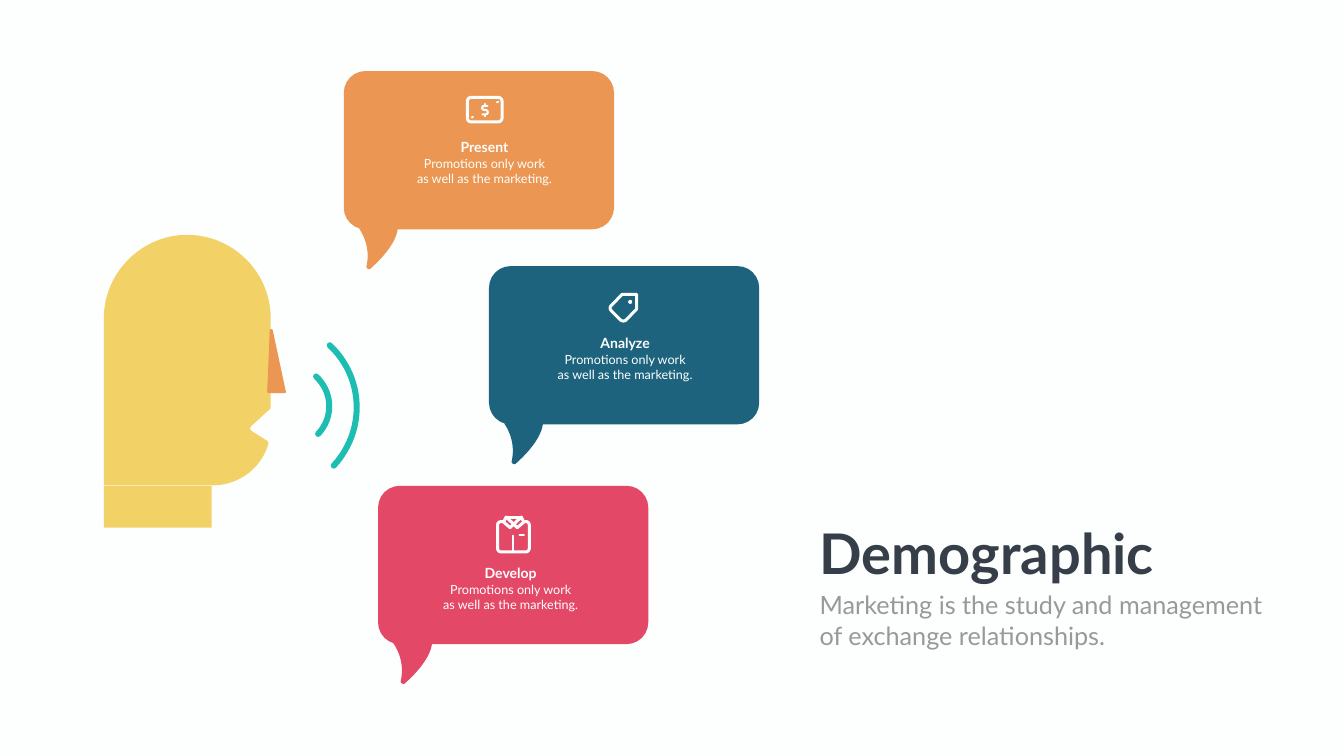
"""Builds the Demographic slide: a speaking head with three speech bubbles."""
import pptx
import pptx.util
from lxml import etree
from pptx.dml.color import RGBColor
from pptx.enum.shapes import MSO_CONNECTOR, MSO_SHAPE
from pptx.enum.text import MSO_ANCHOR, PP_ALIGN
from pptx.oxml.ns import qn
from pptx.util import Inches

COLORS = {
    "white": "FDFFFE", "orange": "EB9652", "blue": "1D637D", "pink": "E34866",
    "teal": "1EBDB2", "yellow": "F2D267", "dark": "353E49", "gray": "989998",
}
BUBBLES = [
    ("Present", "orange", 6.82, 1.41, 9.61, 2.7),
    ("Analyze", "blue", 9.7, 5.28, 12.4, 6.59),
    ("Develop", "pink", 7.5, 9.64, 10.13, 11.16),
]
MESSAGE = ["Promotions only work", "as well as the marketing."]


def rgb(name):
    return RGBColor.from_string(COLORS[name])


def paint(shape, fill=None, line=None, width=0):
    shape.shadow.inherit = False
    if fill:
        shape.fill.solid()
        shape.fill.fore_color.rgb = rgb(fill)
    else:
        shape.fill.background()
    if line:
        paint_line(shape.line, line, width)
    else:
        shape.line.fill.background()


def paint_line(line, color, width):
    line.color.rgb = rgb(color)
    line.width = pptx.util.Pt(width)
    element = line._get_or_add_ln()
    element.set("cap", "rnd")
    etree.SubElement(element, qn("a:round"))


def add_preset(slide, kind, box, **style):
    shape = slide.shapes.add_shape(kind, *map(Inches, box))
    paint(shape, **style)
    return shape


def add_stroke(slide, start, end, width):
    connector = slide.shapes.add_connector(
        MSO_CONNECTOR.STRAIGHT, *map(Inches, (*start, *end)))
    paint_line(connector.line, "white", width)
    etree.SubElement(connector._element.spPr, qn("a:effectLst"))


def curve_points(start, curve, steps=24):
    points = [start, curve[0:2], curve[2:4], curve[4:6]]
    for step in range(1, steps + 1):
        t = step / steps
        weights = [(1 - t) ** 3, 3 * t * (1 - t) ** 2, 3 * t * t * (1 - t), t ** 3]
        yield tuple(sum(w * p[axis] for w, p in zip(weights, points)) for axis in (0, 1))


def add_outline(slide, start, segments, closed=True, origin=(0, 0), **style):
    """Draws segments: two numbers are a line, six are a cubic curve."""
    points = [start]
    for segment in segments:
        points.extend([segment] if len(segment) == 2 else curve_points(points[-1], segment))
    places = [(Inches(x + origin[0]), Inches(y + origin[1])) for x, y in points]
    builder = slide.shapes.build_freeform(*places[0], scale=1.0)
    builder.add_line_segments(places[1:], close=closed)
    paint(builder.convert_to_shape(), **style)


def write_text(shape, lines, size, color, bold=False, align=PP_ALIGN.LEFT, wrap=True):
    frame = shape.text_frame
    frame.word_wrap = wrap
    frame.vertical_anchor = MSO_ANCHOR.TOP
    frame.margin_left = frame.margin_right = Inches(0.1)
    frame.margin_top = frame.margin_bottom = Inches(0.05)
    frame.text = "\n".join(lines)
    for paragraph in frame.paragraphs:
        paragraph.alignment = align
        paragraph.line_spacing = 1.0
        paragraph.space_before = pptx.util.Pt(0)
        font = paragraph.font
        font.name, font.size, font.bold = "Lato", pptx.util.Pt(size), bold
        font.color.rgb = rgb(color)


def add_text(slide, box, lines, **style):
    write_text(slide.shapes.add_textbox(*map(Inches, box)), lines, **style)


def add_bubble(slide, heading, color, left, top, center, text_top):
    body = add_preset(slide, MSO_SHAPE.ROUNDED_RECTANGLE, (left, top, 5.36, 3.14), fill=color)
    body.adjustments[0] = 0.137
    add_outline(slide, (0, 0), [
        (0, 0, 0.25, 0.32, 0.15, 0.75), (0.14, 0.79, 0.2, 0.83, 0.23, 0.8),
        (0.41, 0.64, 0.73, 0.32, 0.77, 0.01),
    ], origin=(left + 0.3, top + 3.12), fill=color)
    centered = {"color": "white", "align": PP_ALIGN.CENTER}
    add_text(slide, (center - 0.95, text_top, 1.9, 0.44), [heading],
             size=20, bold=True, **centered)
    add_text(slide, (center - 1.69, text_top + 0.34, 3.38, 0.71), MESSAGE,
             size=18, **centered)


def add_head(slide):
    add_preset(slide, MSO_SHAPE.RECTANGLE, (2.06, 9.64, 2.14, 0.83), fill="yellow")
    add_outline(slide, (5.35, 8.12), [
        (5.36, 8.11, 5.37, 8.09, 5.37, 8.08), (5.37, 6.31),
        (5.37, 5.41, 4.63, 4.66, 3.71, 4.66), (2.81, 4.66, 2.06, 5.41, 2.06, 6.31),
        (2.06, 9.63), (4.22, 9.63), (4.74, 9.63, 5.18, 9.29, 5.32, 8.82),
        (5.33, 8.79, 5.32, 8.76, 5.29, 8.74), (4.99, 8.55),
        (4.96, 8.53, 4.95, 8.48, 4.99, 8.45),
    ], fill="yellow")
    add_outline(slide, (5.35, 6.56), [
        (5.35, 6.53, 5.4, 6.52, 5.41, 6.55), (5.67, 7.77),
        (5.68, 7.78, 5.66, 7.8, 5.64, 7.8), (5.33, 7.8),
        (5.32, 7.8, 5.3, 7.78, 5.3, 7.77), (5.33, 7.07),
    ], fill="orange")


def add_waves(slide):
    waves = [((6.27, 7.47), (6.6, 7.78, 6.62, 8.28, 6.31, 8.61)),
             ((6.54, 6.85), (7.22, 7.49, 7.26, 8.54, 6.62, 9.24))]
    for start, curve in waves:
        add_outline(slide, start, [curve], closed=False, line="teal", width=8.6)


def add_banknote(slide):
    note = add_preset(slide, MSO_SHAPE.ROUNDED_RECTANGLE, (9.27, 1.93, 0.69, 0.49),
                      line="white", width=4.3)
    note.adjustments[0] = 0.16
    add_outline(slide, (9.67, 2.1), [
        (9.61, 2.1), (9.55, 2.1, 9.55, 2.18, 9.61, 2.18), (9.63, 2.18),
        (9.69, 2.19, 9.69, 2.27, 9.63, 2.27), (9.57, 2.27),
    ], closed=False, line="white", width=3)
    for start, end in [((9.62, 2.06), (9.62, 2.09)), ((9.62, 2.28), (9.62, 2.31)),
                       ((9.86, 2.03), (9.88, 2.02)), ((9.36, 2.33), (9.38, 2.32))]:
        add_stroke(slide, start, end, 3)


def add_tag(slide):
    add_outline(slide, (12.34, 5.84), [
        (12.63, 5.84), (12.63, 6.13), (12.43, 6.34),
        (12.39, 6.38, 12.34, 6.38, 12.3, 6.34), (12.14, 6.18),
        (12.09, 6.13, 12.09, 6.09, 12.14, 6.05),
    ], line="white", width=4.3)
    add_preset(slide, MSO_SHAPE.OVAL, (12.46, 5.95, 0.08, 0.08), fill="white")


def add_shirt(slide):
    add_outline(slide, (9.98, 10.35), [
        (9.94, 10.35), (9.9, 10.35, 9.87, 10.38, 9.87, 10.42), (9.87, 10.87),
        (9.87, 10.92, 9.9, 10.95, 9.94, 10.95), (10.43, 10.95),
        (10.47, 10.95, 10.5, 10.92, 10.5, 10.87), (10.5, 10.42),
        (10.5, 10.38, 10.47, 10.35, 10.43, 10.35), (10.39, 10.35),
    ], closed=False, line="white", width=4.3)
    for side in (-1, 1):
        add_outline(slide, (0.15 * side, 0), [
            (0, 0.14), (0.07 * side, 0.21), (0.2 * side, 0.1),
        ], origin=(10.19, 10.26), line="white", width=4.3)
    add_stroke(slide, (10.06, 10.26), (10.32, 10.26), 4.3)
    add_stroke(slide, (10.31, 10.62), (10.39, 10.62), 3.6)
    add_stroke(slide, (10.17, 10.63), (10.17, 10.93), 2.9)


def main():
    presentation = pptx.Presentation()
    presentation.slide_width, presentation.slide_height = Inches(26.66), Inches(15)
    slide = presentation.slides.add_slide(presentation.slide_layouts[5])
    slide.background.fill.solid()
    slide.background.fill.fore_color.rgb = rgb("white")
    for bubble in BUBBLES:
        add_bubble(slide, *bubble)
    add_head(slide)
    add_waves(slide)
    add_banknote(slide)
    add_tag(slide)
    add_shirt(slide)
    title = slide.shapes.title
    title.left, title.top, title.width, title.height = map(Inches, (16.16, 10.23, 6.96, 1.45))
    write_text(title, ["Demographic"], size=80, color="dark", bold=True, wrap=False)
    add_text(slide, (16.16, 11.65, 9.74, 1.31),
             ["Marketing is the study and management", "of exchange relationships."],
             size=36, color="gray")
    presentation.save("out.pptx")


if __name__ == "__main__":
    main()
